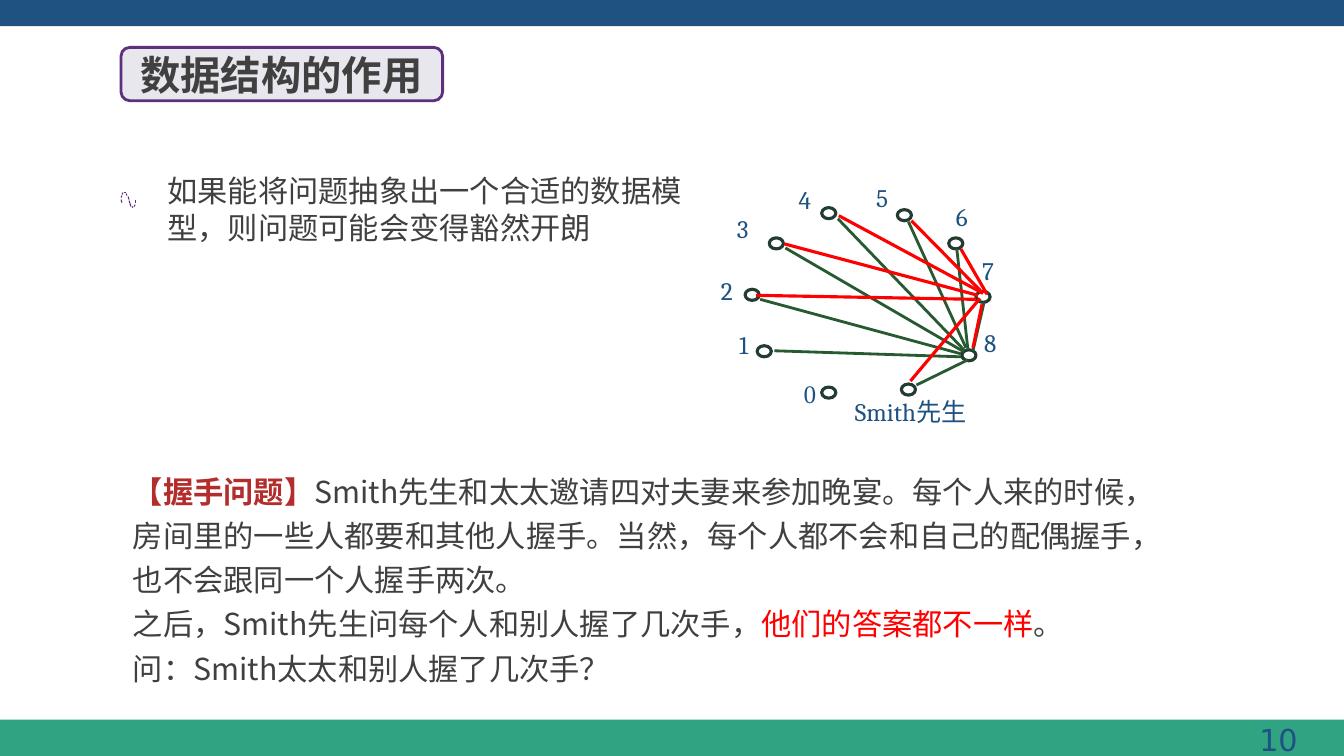
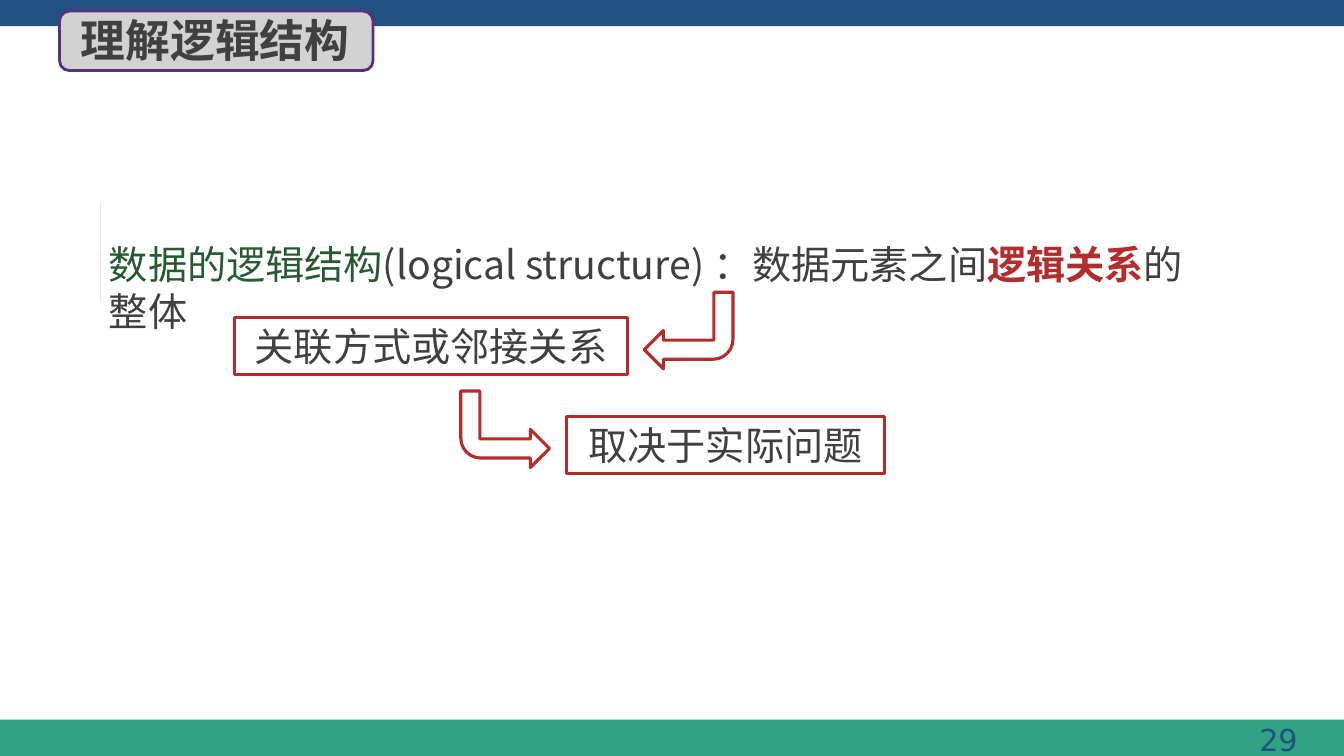
"""Build two slides on data structures: the handshake problem and logical structure."""
from dataclasses import dataclass

from lxml.etree import SubElement
from pptx import Presentation
from pptx.dml.color import RGBColor as RGB
from pptx.enum.shapes import MSO_CONNECTOR as Wire, MSO_SHAPE as Kind
from pptx.enum.text import MSO_ANCHOR as Anchor, MSO_AUTO_SIZE as Fit, PP_ALIGN as Align
from pptx.oxml.ns import qn
from pptx.util import Inches, Pt


@dataclass(frozen=True)
class Theme:
    navy: RGB = RGB.from_string("1F5281")
    teal: RGB = RGB.from_string("30A383")
    ink: RGB = RGB.from_string("404040")
    brick: RGB = RGB.from_string("B42D2D")
    red: RGB = RGB.from_string("FF0000")
    green: RGB = RGB.from_string("285A32")
    node: RGB = RGB.from_string("233C32")
    edge: RGB = RGB.from_string("5C307D")
    plum: RGB = RGB.from_string("5A327D")
    mist: RGB = RGB.from_string("E7E7ED")
    grey: RGB = RGB.from_string("D2D2D2")
    sans: str = "Noto Sans CJK SC"
    serif: str = "Cambria"
    roman: str = "Times New Roman"
    digit: str = "DejaVu Sans"
    text: float = 21.6
    label: float = 18
    large: float = 28
    thin: float = 2
    thick: float = 2.25


T = Theme()


def write(shape, paras, size, hue=T.ink, face=T.sans, align=Align.LEFT,
          lead=None, pad=(0.1, 0.05), anchor=Anchor.TOP, bold=False):
    frame = shape.text_frame
    frame.word_wrap = True
    frame.auto_size = Fit.NONE
    frame.vertical_anchor = anchor
    frame.margin_left = frame.margin_right = Inches(pad[0])
    frame.margin_top = frame.margin_bottom = Inches(pad[1])
    for i, runs in enumerate(paras):
        para = frame.add_paragraph() if i else frame.paragraphs[0]
        para.alignment = align
        para.space_before = para.space_after = Pt(0)
        if lead:
            para.line_spacing = Pt(lead)
        font = para.font
        font.name, font.size, font.bold = face, Pt(size), bold
        font.color.rgb = hue
        for words, *mark in runs:
            run = para.add_run()
            run.text = words
            if mark:
                run.font.color.rgb, run.font.bold = mark


def draw(shape, fill=None, line=None, width=T.thick):
    if hasattr(shape, "begin_x"):
        SubElement(shape.element.spPr, qn("a:effectLst"))
    else:
        shape.shadow.inherit = False
        if fill:
            shape.fill.solid()
            shape.fill.fore_color.rgb = fill
        else:
            shape.fill.background()
    if line:
        shape.line.color.rgb = line
        shape.line.width = Pt(width)
    else:
        shape.line.fill.background()


deck = Presentation()
deck.slide_width, deck.slide_height = Inches(13.33), Inches(7.5)

heads = [
    ("数据结构的作用", 28.8, "10", T.mist, (1.2, 0.47, 3.19, 0.53), (1.29, 0.44, 3.07, 0.59)),
    ("理解逻辑结构", 32, "29", T.grey, (0.59, 0.11, 3.11, 0.59), (0.7, 0.07, 3.02, 0.64)),
]
bodies = [
    ((1.56, 1.65, 5.46, 0.83), T.text, 26.5,
     [("如果能将问题抽象出一个合适的数据模型，则问题可能会变得豁然开朗",)]),
    ((0.98, 2.34, 11.08, 0.63), T.large, 33.5,
     [("数据的逻辑结构", T.green, False), ("(logical structure) ：数据元素之间",),
      ("逻辑关系", T.brick, True), ("的整体",)]),
]
for (name, size, page, fill, rim, area), (spot, points, lead, runs) in zip(heads, bodies):
    slide = deck.slides.add_slide(deck.slide_layouts[1])
    title, body = slide.placeholders
    plate = slide.shapes.add_shape(Kind.ROUNDED_RECTANGLE, *map(Inches, rim))
    draw(plate, fill, T.edge, T.thin)
    title.element.addprevious(plate.element)
    for holder, box in ((title, area), (body, spot)):
        holder.left, holder.top, holder.width, holder.height = map(Inches, box)
    write(title, [[(name,)]], size, anchor=Anchor.MIDDLE, pad=(0.1, 0), bold=True)
    props = body.text_frame.paragraphs[0]._p.get_or_add_pPr()
    props.set("marL", "0")
    props.set("indent", "0")
    SubElement(props, qn("a:buNone"))
    write(body, [runs], points, lead=lead)
    number = slide.shapes.add_textbox(*map(Inches, (10.03, 7.11, 2.94, 0.46)))
    write(number, [[(page,)]], T.text, T.navy, T.digit, Align.RIGHT)

first, second = deck.slides
master = deck.slide_master.shapes.element
for i, (top, high, hue) in enumerate([(7.14, 0.36, T.teal), (0, 0.26, T.navy)]):
    band = first.shapes.add_shape(Kind.RECTANGLE, 0, Inches(top), deck.slide_width, Inches(high))
    draw(band, hue)
    band.element.nvSpPr.cNvPr.set("id", str(20 + i))
    master.insert(2 + i, band.element)

story = first.shapes.add_textbox(*map(Inches, (1.22, 4.57, 10.63, 2.34)))
write(story, [
    [("【握手问题】", T.brick, True),
     ("Smith先生和太太邀请四对夫妻来参加晚宴。每个人来的时候，房间里的一些人都要和其他人握手。"
      "当然，每个人都不会和自己的配偶握手，也不会跟同一个人握手两次。",)],
    [("之后，Smith先生问每个人和别人握了几次手，",), ("他们的答案都不一样", T.red, False), ("。",)],
    [("问：Smith太太和别人握了几次手？",)],
], T.text, lead=31.5)

wing = [(1.46, 1.66), (1.39, 2.08), (1.35, 1.97)]
fold = [(1.46, 1.66), (1.35, 1.96), (1.28, 1.91)]
pin = [(0.91, 2.52), (0.79, 2.4), (0.78, 2.4), (0.75, 2.44), (0.74, 2.45), (0.76, 2.46),
       (0.7, 2.52), (0.66, 2.51), (0.61, 2.52), (0.57, 2.55), (0.57, 2.57), (0.75, 2.75),
       (0.76, 2.75), (0.79, 2.71), (0.8, 2.67), (0.8, 2.62), (0.85, 2.56), (0.86, 2.57),
       (0.88, 2.57), (0.91, 2.53)]
spike = [(0.54, 2.79), (0.52, 2.79), (0.53, 2.77), (0.66, 2.64), (0.68, 2.65), (0.67, 2.66)]
for slide, dots in ((first, wing), (first, fold), (second, pin), (second, spike)):
    pen = slide.shapes.build_freeform(*dots[0], scale=Inches(1))
    pen.add_line_segments(dots[1:], close=True)
    draw(pen.convert_to_shape(), T.plum)

labels = [
    ("5", 8.69, 1.8), ("4", 7.92, 1.82), ("3", 7.31, 2.11), ("2", 7.15, 2.72), ("1", 7.33, 3.26),
    ("0", 7.97, 3.74), ("6", 9.48, 1.99), ("7", 9.74, 2.52), ("8", 9.76, 3.24),
    ("Smith先生", 8.48, 3.92),
]
for name, left, top in labels:
    wide = 0.14 if len(name) == 1 else 1.32
    label = first.shapes.add_textbox(*map(Inches, (left, top, wide, 0.34)))
    face = T.roman if name == "0" else T.serif
    write(label, [[(name,)]], T.label, T.navy, face, Align.JUSTIFY, pad=(0, 0.01))

nodes = [(8.15, 2.06), (9.41, 2.36), (7.39, 2.87), (7.51, 3.43), (9.54, 3.47),
         (7.63, 2.36), (8.15, 3.84), (8.94, 3.81), (9.68, 2.89), (8.9, 2.08)]
for left, top in nodes:
    draw(first.shapes.add_shape(Kind.OVAL, *map(Inches, (left, top, 0.14, 0.11))), line=T.node)

trail = [
    (1.34, 1.98, 1.34, 2.01), (1.34, 2.03, 1.33, 2.05), (1.32, 2.06, 1.31, 2.05),
    (1.3, 2.05, 1.29, 2.02), (1.29, 2.02, 1.28, 1.99), (1.28, 1.98, 1.27, 1.95),
    (1.26, 1.94, 1.25, 1.92), (1.25, 1.91, 1.23, 1.91), (1.22, 1.91, 1.21, 1.93),
    (1.21, 1.94, 1.2, 1.96), (1.2, 1.98, 1.21, 2.01),
]
eighth = [
    (7.68, 3.48, 9.53, 3.54), (7.54, 2.97, 9.53, 3.51), (7.79, 2.46, 9.56, 3.49),
    (8.31, 2.17, 9.56, 3.47), (9.01, 2.2, 9.58, 3.45), (9.49, 2.47, 9.6, 3.47),
    (9.76, 3, 9.65, 3.48), (9.6, 3.57, 9.09, 3.82),
]
seventh = [
    (9.79, 2.92, 9.53, 2.47), (9.75, 2.91, 9.04, 2.19), (9.75, 2.91, 8.32, 2.14),
    (9.7, 2.93, 7.78, 2.42), (9.68, 2.97, 7.5, 2.93), (9.74, 3.02, 9.65, 3.45),
    (9.72, 2.96, 9.03, 3.78),
]
for lines, hue, width in ((trail, T.plum, 0.75), (eighth, T.green, T.thin), (seventh, T.red, T.thick)):
    for ends in lines:
        draw(first.shapes.add_connector(Wire.STRAIGHT, *map(Inches, ends)), line=hue, width=width)

steps = [
    ("关联方式或邻接关系", (2.33, 3.15, 3.89, 0.57), (6.39, 2.9), ("flipH", "flipV")),
    ("取决于实际问题", (5.62, 4.13, 3.15, 0.57), (4.57, 3.88), ("flipV",)),
]
for name, area, spot, flips in steps:
    box = second.shapes.add_shape(Kind.RECTANGLE, *map(Inches, area))
    draw(box, line=T.brick)
    write(box, [[(name,)]], T.large, align=Align.CENTER, pad=(0.1, 0), anchor=Anchor.MIDDLE)
    arrow = second.shapes.add_shape(Kind.BENT_ARROW, *map(Inches, (*spot, 0.88, 0.76)))
    arrow.adjustments[3] = 0.26
    draw(arrow, line=T.brick)
    for flip in flips:
        arrow.element.spPr.xfrm.set(flip, "1")

for slide in deck.slides:
    for latin in list(slide.element.iter(qn("a:latin"))):
        latin.addnext(latin.makeelement(qn("a:ea"), {"typeface": T.sans}))

deck.save("out.pptx")
